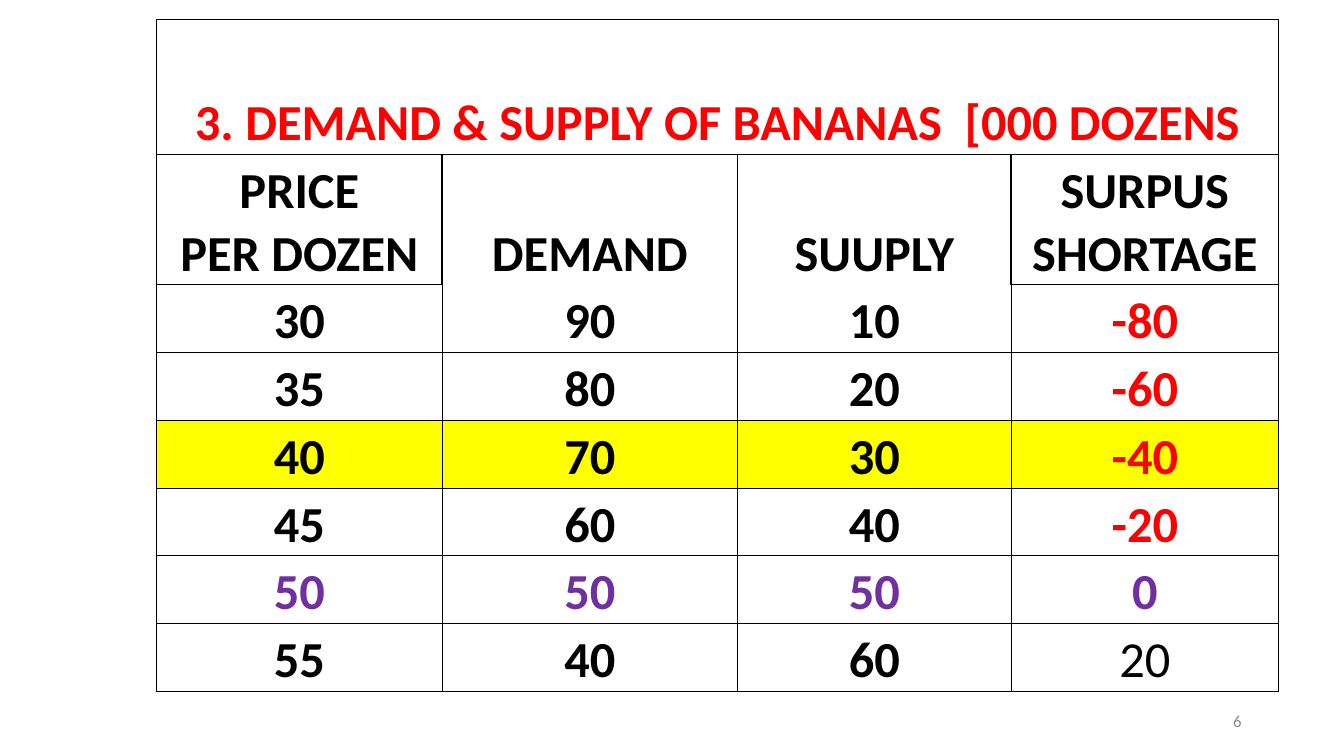
from lxml import etree
from pptx import Presentation
from pptx.dml.color import RGBColor
from pptx.enum import text
from pptx.oxml import ns
from pptx.util import Pt

COLORS = {"ink": "000000", "alert": "FF0000", "balance": "7030A0",
          "highlight": "FFFF00", "page": "8C8C8C"}
FONT = "Calibri"
TITLE = "3. DEMAND & SUPPLY OF BANANAS  [000 DOZENS"
HEADINGS = [["PRICE", "DEMAND", "SUUPLY", "SURPUS"],
            ["PER DOZEN", "", "", "SHORTAGE"]]
MARKET = [(30, 90, 10), (35, 80, 20), (40, 70, 30),
          (45, 60, 40), (50, 50, 50), (55, 40, 60)]
HIGHLIGHTED_PRICE = 40
COLUMN_WIDTHS = [203.8, 211.2, 195.2, 191.2]
ROW_HEIGHTS = [96.5, 48.4, 44.6] + [48.4] * len(MARKET)
NO_STYLE = "{2D5ABB26-0587-4C30-8999-92F81FD0307C}"


def color(name):
    return RGBColor.from_string(COLORS[name])


def write(frame, wording, size, ink, align, bold=False):
    frame.text = wording
    paragraph = frame.paragraphs[0]
    paragraph.alignment = align
    for run in paragraph.runs:
        run.font.name, run.font.size, run.font.bold = FONT, Pt(size), bold
        run.font.color.rgb = color(ink)


def set_borders(cell, widths):
    """Draw the sides listed in widths (L, R, T, B) and clear the others."""
    properties = cell._tc.get_or_add_tcPr()
    for side in "LRTB":
        line = etree.SubElement(properties, ns.qn(f"a:ln{side}"))
        if side in widths:
            line.set("w", str(Pt(widths[side])))
            fill = etree.SubElement(line, ns.qn("a:solidFill"))
            etree.SubElement(fill, ns.qn("a:srgbClr"), val=COLORS["ink"])
        else:
            etree.SubElement(line, ns.qn("a:noFill"))


def border_widths(row, column):
    if row == 0:
        return dict.fromkeys("LRTB", 1)
    if row == 1:
        return dict.fromkeys("LRT", 1)
    if row == 2:
        return {"L": 1, "R": 1, "B": 0.5}
    under_merged_heading = row == 3 and column in (1, 2)
    return dict.fromkeys("LRB" if under_merged_heading else "LRTB", 0.5)


def fill_cell(cell, wording, borders, ink="ink", bold=True, highlight=False):
    cell.margin_left = cell.margin_right = cell.margin_top = Pt(0.7)
    cell.margin_bottom = Pt(0)
    cell.vertical_anchor = text.MSO_ANCHOR.BOTTOM
    set_borders(cell, borders)
    if highlight:
        cell.fill.solid()
        cell.fill.fore_color.rgb = color("highlight")
    else:
        cell.fill.background()
    write(cell.text_frame, wording, 36, ink, text.PP_ALIGN.CENTER, bold)


def add_market_table(slide, left, top):
    frame = slide.shapes.add_table(
        len(ROW_HEIGHTS), len(COLUMN_WIDTHS), Pt(left), Pt(top),
        Pt(sum(COLUMN_WIDTHS)), Pt(sum(ROW_HEIGHTS)))
    table = frame.table
    table.first_row = table.horz_banding = False
    table._tbl.tblPr.find(ns.qn("a:tableStyleId")).text = NO_STYLE
    for column, width in zip(table.columns, COLUMN_WIDTHS):
        column.width = Pt(width)
    for row, height in zip(table.rows, ROW_HEIGHTS):
        row.height = Pt(height)

    # Title across all columns, two headings over two rows
    table.cell(0, 0).merge(table.cell(0, 3))
    for column in (1, 2):
        table.cell(1, column).merge(table.cell(2, column))
    fill_cell(table.cell(0, 0), TITLE, border_widths(0, 0), "alert")
    for row, headings in enumerate(HEADINGS, 1):
        for column, heading in enumerate(headings):
            if heading:
                fill_cell(table.cell(row, column), heading,
                          border_widths(row, column))

    # Prices with the resulting surplus or shortage
    for row, (price, demand, supply) in enumerate(MARKET, 3):
        surplus = supply - demand
        row_ink = "ink" if surplus else "balance"
        for column, value in enumerate((price, demand, supply, surplus)):
            fill_cell(table.cell(row, column), str(value),
                      border_widths(row, column),
                      ink="alert" if value < 0 else row_ink,
                      bold=column < 3 or surplus <= 0,
                      highlight=price == HIGHLIGHTED_PRICE)


def add_page_number(slide, left, top, width, height):
    frame = slide.shapes.add_textbox(
        Pt(left), Pt(top), Pt(width), Pt(height)).text_frame
    frame.word_wrap = True
    frame.vertical_anchor = text.MSO_ANCHOR.MIDDLE
    write(frame, "6", 12, "page", text.PP_ALIGN.RIGHT)


def main():
    deck = Presentation()
    deck.slide_width, deck.slide_height = Pt(960), Pt(540)
    slide = deck.slides.add_slide(deck.slide_layouts[6])
    add_market_table(slide, 112, 13.7)
    add_page_number(slide, 678, 500.5, 216, 28.8)
    deck.save("out.pptx")


if __name__ == "__main__":
    main()
